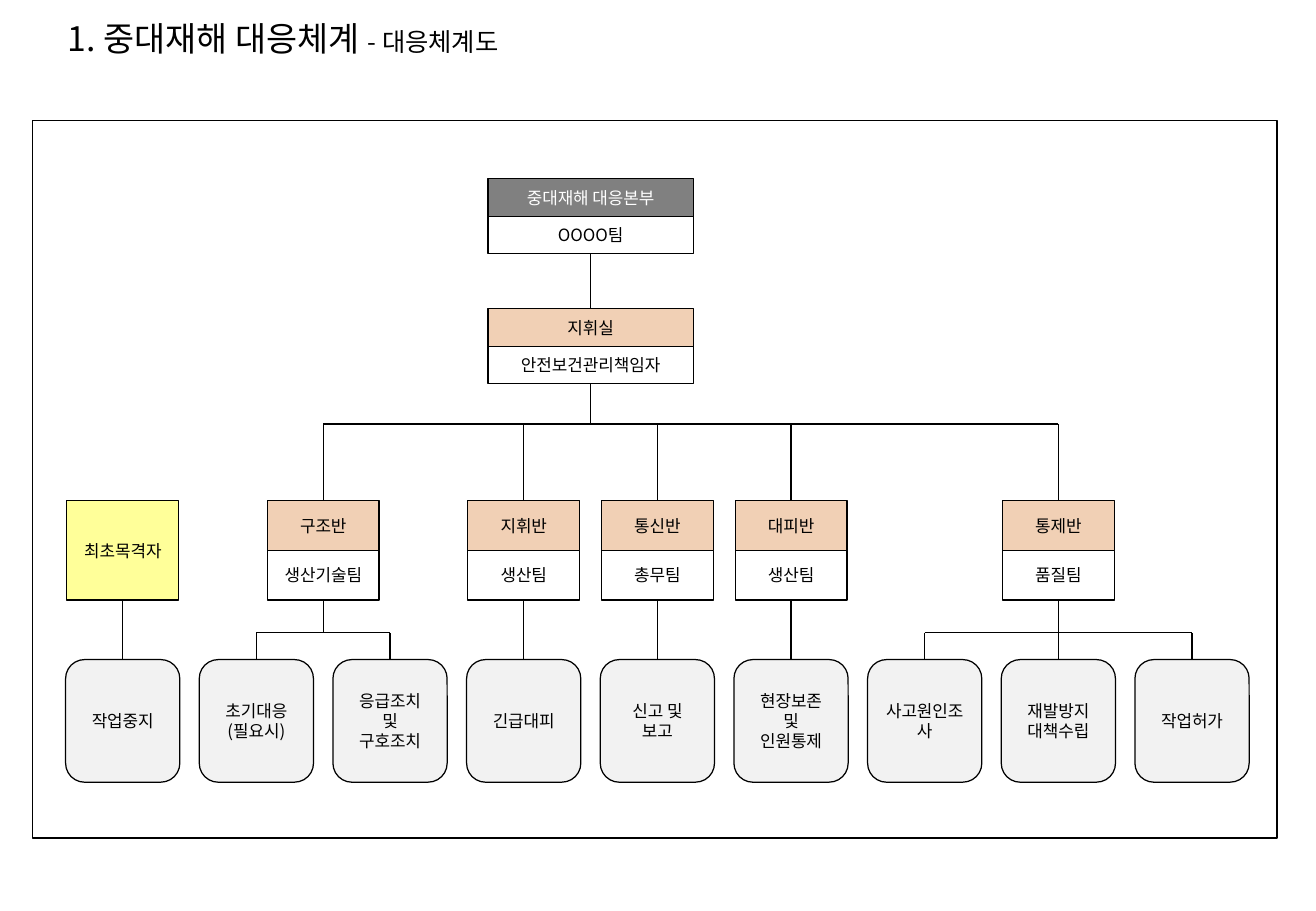
"""Build the serious-accident response organisation chart slide."""
from lxml.etree import SubElement
from pptx import Presentation
from pptx.dml.color import RGBColor
from pptx.enum.shapes import MSO_CONNECTOR, MSO_SHAPE
from pptx.enum.text import MSO_ANCHOR, PP_ALIGN
from pptx.oxml.ns import qn
from pptx.util import Inches, Pt

FONT = "Noto Sans CJK KR"
COLORS = {"black": "000000", "white": "FFFFFF", "head": "808080", "team": "F1D0B5",
          "action": "F2F2F2", "witness": "FFFF99"}
FIRST_CENTER, PITCH = 1.01, 1.1
UNIT_WIDTH, UNIT_HEIGHT = 1.69, 0.31
TEAM_WIDTH, TEAM_HEIGHT, TEAM_TOP = 0.92, 0.41, 4.12
ACTION_WIDTH, ACTION_HEIGHT, ACTION_TOP = 0.94, 1.01, 5.43
TEAM_BUS, ACTION_BUS = 3.49, 5.21
COMMAND_COLUMN = 3.5

deck = Presentation()
deck.slide_width, deck.slide_height = Inches(10.83), Inches(7.5)
page = deck.slides.add_slide(deck.slide_layouts[6])


def add_box(column, top, width, height, fill, text, ink="black", shape=MSO_SHAPE.RECTANGLE):
    """Add a labelled box centred on a grid column."""
    left = FIRST_CENTER + column * PITCH - width / 2
    box = page.shapes.add_shape(shape, Inches(left), Inches(top), Inches(width), Inches(height))
    box.shadow.inherit = False
    box.fill.solid()
    box.fill.fore_color.rgb = RGBColor.from_string(COLORS[fill])
    box.line.color.rgb = RGBColor.from_string(COLORS["black"])
    box.line.width = Pt(0.75)
    box.text_frame.text = text
    box.text_frame.word_wrap = True
    box.text_frame.vertical_anchor = MSO_ANCHOR.MIDDLE
    for para in box.text_frame.paragraphs:
        para.alignment = PP_ALIGN.CENTER
        para.font.size = Pt(10)
        para.font.name = FONT
        para.font.color.rgb = RGBColor.from_string(COLORS[ink])
        SubElement(para._p.pPr.find(qn("a:defRPr")), qn("a:ea"), typeface=FONT)
    return box


def add_link(start_column, start_y, end_column, end_y, upper=None, lower=None):
    """Draw a line, joined to the box above and the box below when given."""
    start_x, end_x = (Inches(FIRST_CENTER + column * PITCH) for column in (start_column, end_column))
    link = page.shapes.add_connector(MSO_CONNECTOR.STRAIGHT, start_x, Inches(start_y),
                                     end_x, Inches(end_y))
    link.line.color.rgb = RGBColor.from_string(COLORS["black"])
    link.line.width = Pt(0.75)
    SubElement(link._element.spPr, qn("a:effectLst"))
    if upper is not None:
        link.begin_connect(upper, 2)
    if lower is not None:
        link.end_connect(lower, 0)


title = page.shapes.add_textbox(Inches(0.11), Inches(0.08), Inches(4.44), Inches(0.47))
title.text_frame.word_wrap = True
title.text_frame.vertical_anchor = MSO_ANCHOR.MIDDLE
para = title.text_frame.paragraphs[0]
para.alignment = PP_ALIGN.CENTER
para.font.name = FONT
para.font.color.rgb = RGBColor.from_string(COLORS["black"])
SubElement(para._p.pPr.find(qn("a:defRPr")), qn("a:ea"), typeface=FONT)
for text, size in [("1. 중대재해 대응체계 ", 20), ("- 대응체계도", 15)]:
    span = para.add_run()
    span.text = text
    span.font.size = Pt(size)

frame = page.shapes.add_shape(MSO_SHAPE.RECTANGLE, Inches(0.27), Inches(0.99),
                              Inches(10.24), Inches(5.91))
frame.shadow.inherit = False
frame.fill.background()
frame.line.color.rgb = RGBColor.from_string(COLORS["black"])
frame.line.width = Pt(0.75)

units = [
    (1.47, "head", "white", "중대재해 대응본부", "OOOO팀"),
    (2.54, "team", "black", "지휘실", "안전보건관리책임자"),
]
above = None
for top, fill, ink, name, leader in units:
    header = add_box(COMMAND_COLUMN, top, UNIT_WIDTH, UNIT_HEIGHT, fill, name, ink)
    if above is not None:
        add_link(COMMAND_COLUMN, top, COMMAND_COLUMN, top, above, header)
    above = add_box(COMMAND_COLUMN, top + UNIT_HEIGHT, UNIT_WIDTH, UNIT_HEIGHT, "white", leader)
add_link(COMMAND_COLUMN, TEAM_BUS, COMMAND_COLUMN, TEAM_BUS, above)

teams = [
    ("최초목격자", None, ["작업중지"]),
    ("구조반", "생산기술팀", ["초기대응\n(필요시)", "응급조치 및\n구호조치"]),
    ("지휘반", "생산팀", ["긴급대피"]),
    ("통신반", "총무팀", ["신고 및 보고"]),
    ("대피반", "생산팀", ["현장보존 및\n인원통제"]),
    ("통제반", "품질팀", ["사고원인조사", "재발방지\n대책수립", "작업허가"]),
]
first = 0
team_columns = []
for name, department, actions in teams:
    last = first + len(actions) - 1
    center = (first + last) / 2
    if department is None:
        foot = add_box(center, TEAM_TOP, TEAM_WIDTH, 2 * TEAM_HEIGHT, "witness", name)
    else:
        header = add_box(center, TEAM_TOP, TEAM_WIDTH, TEAM_HEIGHT, "team", name)
        foot = add_box(center, TEAM_TOP + TEAM_HEIGHT, TEAM_WIDTH, TEAM_HEIGHT, "white", department)
        add_link(center, TEAM_BUS, center, TEAM_TOP, lower=header)
        team_columns.append(center)
    if last > first:
        add_link(center, ACTION_BUS, center, ACTION_BUS, foot)
        add_link(first, ACTION_BUS, last, ACTION_BUS)
    for column, action in enumerate(actions, first):
        box = add_box(column, ACTION_TOP, ACTION_WIDTH, ACTION_HEIGHT, "action", action,
                      shape=MSO_SHAPE.ROUNDED_RECTANGLE)
        add_link(column, ACTION_BUS, column, ACTION_TOP, foot if last == first else None, box)
    first = last + 1
add_link(team_columns[0], TEAM_BUS, team_columns[-1], TEAM_BUS)

deck.save("out.pptx")
